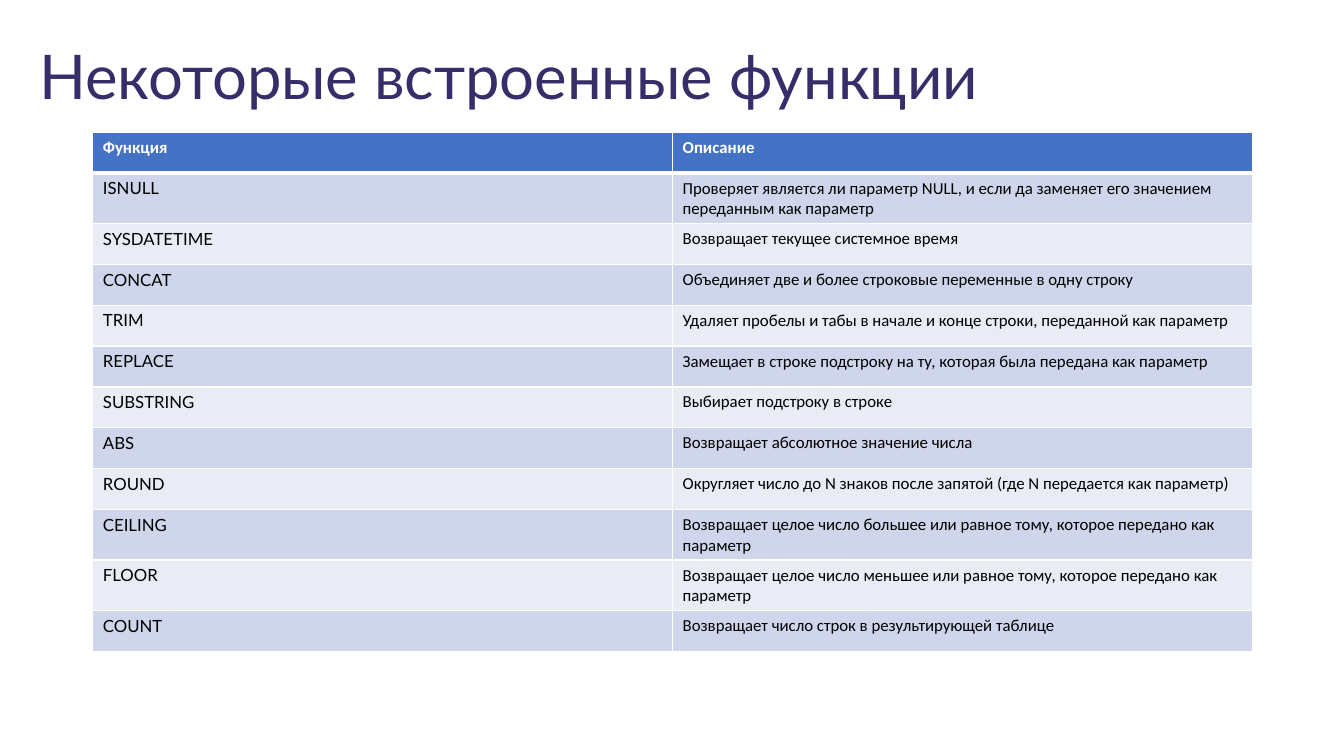
"""Build a slide listing built-in SQL functions with their descriptions."""
import pptx
import pptx.dml.color
import pptx.oxml
import pptx.oxml.ns
import pptx.util
from pptx.util import Cm

COLORS = {
    "title": "372D68",
    "header": "4472C4",
    "odd": "CFD5EA",
    "even": "E9EBF5",
    "text": "000000",
    "white": "FFFFFF",
}
HEADINGS = ("Функция", "Описание")
FUNCTIONS = [
    ("ISNULL", "Проверяет является ли параметр NULL, и если да заменяет его значением переданным как параметр"),
    ("SYSDATETIME", "Возвращает текущее системное время"),
    ("CONCAT", "Объединяет две и более строковые переменные в одну строку"),
    ("TRIM", "Удаляет пробелы и табы в начале и конце строки, переданной как параметр"),
    ("REPLACE", "Замещает в строке подстроку на ту, которая была передана как параметр"),
    ("SUBSTRING", "Выбирает подстроку в строке"),
    ("ABS", "Возвращает абсолютное значение числа"),
    ("ROUND", "Округляет число до N знаков после запятой (где N передается как параметр)"),
    ("CEILING", "Возвращает целое число большее или равное тому, которое передано как параметр"),
    ("FLOOR", "Возвращает целое число меньшее или равное тому, которое передано как параметр"),
    ("COUNT", "Возвращает число строк в результирующей таблице"),
]
COLUMN_WIDTH = Cm(14.61)
ROW_HEIGHT = Cm(1.03)


def write(frame, text, font_name, size, color, bold=False):
    frame.text = text
    font = frame.paragraphs[0].runs[0].font
    font.name = font_name
    font.size = pptx.util.Pt(size)
    font.bold = bold
    font.color.rgb = pptx.dml.color.RGBColor.from_string(COLORS[color])


def add_title(slide, text):
    title = slide.shapes.add_textbox(Cm(0.74), Cm(0.84), Cm(32.39), Cm(3.43))
    title.text_frame.word_wrap = True
    write(title.text_frame, text, "Lato", 44, "title")


def set_borders(cell, top, bottom):
    properties = cell._tc.get_or_add_tcPr()
    widths = {"lnL": 1, "lnR": 1, "lnT": top, "lnB": bottom}
    for position, (side, width) in enumerate(widths.items()):
        border = pptx.oxml.parse_xml(
            f'<a:{side} {pptx.oxml.ns.nsdecls("a")} w="{pptx.util.Pt(width)}">'
            f'<a:solidFill><a:srgbClr val="{COLORS["white"]}"/></a:solidFill></a:{side}>'
        )
        properties.insert(position, border)


def fill_cell(cell, text, font_name, background, color, bold):
    write(cell.text_frame, text, font_name, 12, color, bold)
    cell.fill.solid()
    cell.fill.fore_color.rgb = pptx.dml.color.RGBColor.from_string(COLORS[background])


def add_function_table(slide):
    entries = [HEADINGS, *FUNCTIONS]
    table = slide.shapes.add_table(
        len(entries), len(HEADINGS), Cm(2.34), Cm(3.33),
        COLUMN_WIDTH * len(HEADINGS), ROW_HEIGHT * len(entries),
    ).table
    for column in table.columns:
        column.width = COLUMN_WIDTH
    for index, entry in enumerate(entries):
        table.rows[index].height = ROW_HEIGHT
        is_header = index == 0
        background = "header" if is_header else ("even", "odd")[index % 2]
        color = "white" if is_header else "text"
        for column, text in enumerate(entry):
            cell = table.cell(index, column)
            font_name = "Lato" if column == 0 and not is_header else "Calibri"
            fill_cell(cell, text, font_name, background, color, is_header)
            set_borders(cell, 3 if index == 1 else 1, 3 if is_header else 1)


def main():
    deck = pptx.Presentation()
    deck.slide_width, deck.slide_height = Cm(33.87), Cm(19.05)
    slide = deck.slides.add_slide(deck.slide_layouts[6])
    add_title(slide, "Некоторые встроенные функции")
    add_function_table(slide)
    deck.save("out.pptx")


if __name__ == "__main__":
    main()
